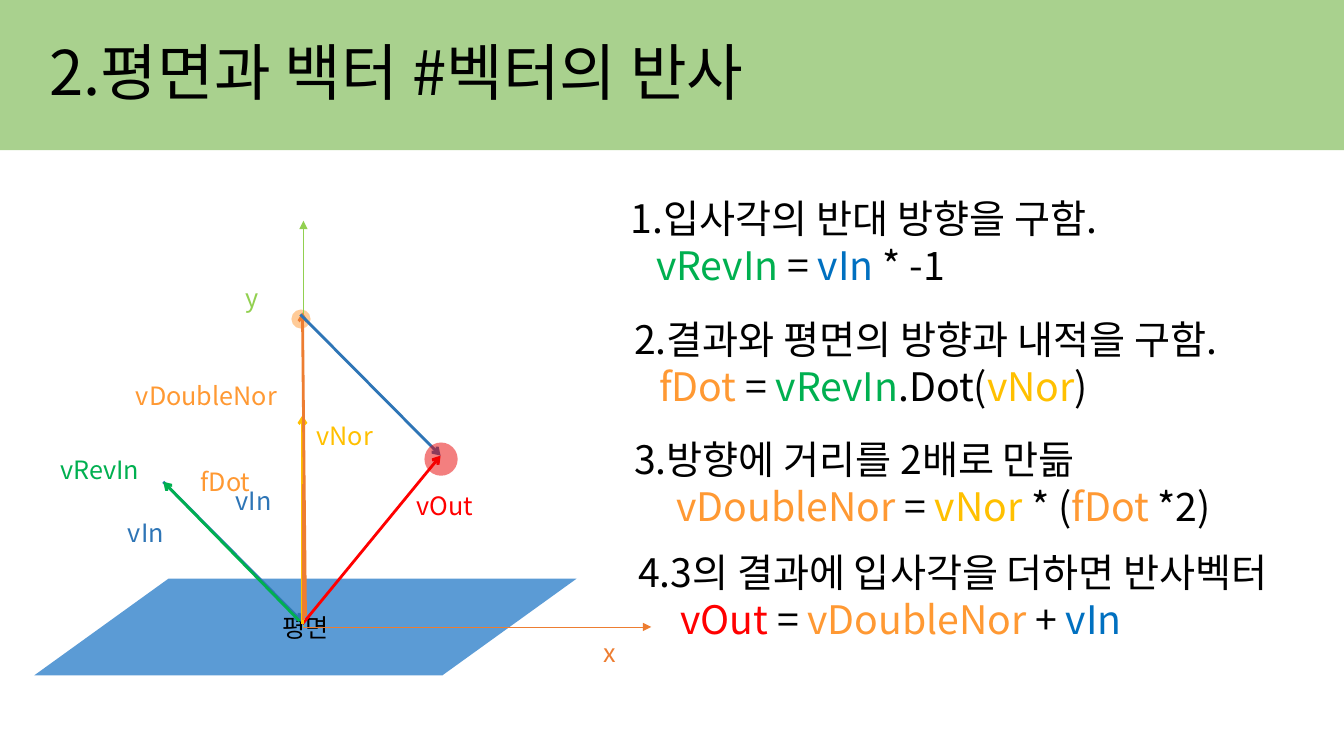
from lxml import etree
from pptx import Presentation
from pptx import util as u
from pptx.dml.color import RGBColor
from pptx.enum import shapes, text
from pptx.oxml.ns import qn

BLACK, GREEN, BLUE, NAVY = "000000", "00B050", "0070C0", "2E75B6"
ORANGE, RUST, GOLD, RED, LIME = "FF9933", "ED7D31", "FFC000", "FF0000", "92D050"


def paint(target, color):
    target.rgb = RGBColor.from_string(color)


def apply(target, values):
    for name, value in values.items():
        setattr(target, name, value)


class Sketch:
    """Holds the text style and the slide being drawn."""

    def __init__(self, slide):
        self.slide = slide
        self.face = "Noto Sans CJK KR"

    def fill_in(self, para, runs, size):
        for words, color in runs:
            run = para.add_run()
            run.text = words
            apply(run.font, {"size": u.Pt(size), "name": self.face})
            paint(run.font.color, color)
            asian = etree.SubElement(run._r.get_or_add_rPr(), qn("a:ea"))
            asian.set("typeface", self.face)

    def title(self, words, box):
        shape = self.slide.shapes.title
        apply(shape, dict(zip(("left", "top", "width", "height"), map(u.Inches, box))))
        apply(shape.text_frame, {"vertical_anchor": text.MSO_ANCHOR.MIDDLE, "word_wrap": True})
        para = shape.text_frame.paragraphs[0]
        apply(para, {"alignment": text.PP_ALIGN.LEFT, "line_spacing": 0.9})
        self.fill_in(para, [(words, BLACK)], 44)
        return shape

    def shape(self, kind, box, color, alpha=None):
        shape = self.slide.shapes.add_shape(kind, *map(u.Inches, box))
        shape.shadow.inherit = False
        shape.fill.solid()
        paint(shape.fill.fore_color, color)
        shape.line.fill.background()
        if alpha:
            tone = shape.element.spPr.find(qn("a:solidFill"))[0]
            etree.SubElement(tone, qn("a:alpha")).set("val", str(alpha * 1000))
        return shape

    def text(self, box, lines, size=18, indent=0):
        frame = self.slide.shapes.add_textbox(*map(u.Inches, box)).text_frame
        frame.word_wrap = True
        for i, runs in enumerate(lines):
            para = frame.add_paragraph() if i else frame.paragraphs[0]
            if i:
                para._p.get_or_add_pPr().set("marL", str(u.Inches(indent)))
            self.fill_in(para, runs, size)

    def line(self, start, end, color, width=2, head="arrow"):
        line = self.slide.shapes.add_connector(
            shapes.MSO_CONNECTOR.STRAIGHT, *map(u.Inches, start + end))
        line.line.width = u.Pt(width)
        paint(line.line.color, color)
        if head:
            edge = line.element.spPr.find(qn("a:ln"))
            etree.SubElement(edge, qn("a:tailEnd")).set("type", head)
        etree.SubElement(line.element.spPr, qn("a:effectLst"))


def main():
    deck = Presentation()
    apply(deck, {"slide_width": u.Inches(13.33), "slide_height": u.Inches(7.5)})
    art = Sketch(deck.slides.add_slide(deck.slide_layouts[5]))
    kinds = shapes.MSO_SHAPE

    band = art.shape(kinds.RECTANGLE, (0, -0.02, 13.33, 1.51), "A9D18E")
    title = art.title("2.평면과 백터 #벡터의 반사", (0.39, 0.02, 11.5, 1.45))
    title.element.addprevious(band.element)

    steps = [
        (6.16, 1.88, 6.8, 0.25, "1.입사각의 반대 방향을 구함.",
         [("vRevIn", GREEN), (" = ", BLACK), ("vIn", BLUE), (" * -1", BLACK)]),
        (6.19, 3.08, 6.8, 0.25, "2.결과와 평면의 방향과 내적을 구함.",
         [("fDot ", ORANGE), ("= ", BLACK), ("vRevIn", GREEN), (".Dot(", BLACK),
          ("vNor", GOLD), (")", BLACK)]),
        (6.19, 4.27, 6.8, 0.42, "3.방향에 거리를 2배로 만듦",
         [("vDoubleNor ", ORANGE), ("= ", BLACK), ("vNor", GOLD), (" * (", BLACK),
          ("fDot", ORANGE), (" *2)", BLACK)]),
        (6.23, 5.39, 7.34, 0.42, "4.3의 결과에 입사각을 더하면 반사벡터",
         [("vOut ", RED), ("= ", BLACK), ("vDoubleNor ", ORANGE), ("+ ", BLACK),
          ("vIn", BLUE)]),
    ]
    for left, top, width, indent, head, code in steps:
        art.text((left, top, width, 1.04), [[(head, BLACK)], code], 28, indent)

    art.shape(kinds.OVAL, (2.89, 3.07, 0.19, 0.19), ORANGE, 50)
    plane = art.shape(kinds.PARALLELOGRAM, (0.34, 5.74, 5.38, 0.96), "5B9BD5")
    plane.adjustments[0] = 1.388
    plane.text_frame.vertical_anchor = text.MSO_ANCHOR.MIDDLE
    para = plane.text_frame.paragraphs[0]
    para.alignment = text.PP_ALIGN.CENTER
    art.fill_in(para, [("평면", BLACK)], 18)

    origin = (3.01, 6.22)
    for end, color in (((3.01, 2.19), LIME), ((6.46, 6.22), RUST)):
        art.line(origin, end, color, 0.5, "triangle")

    base, left_tip, out_tip = (3, 6.19), (1.62, 4.78), (4.37, 4.52)
    art.line(left_tip, (3, 6.17), NAVY)
    art.line(base, out_tip, RED)
    art.line(base, (3, 4.12), GOLD)
    art.line((3.01, 6.15), (3.01, 4.8), RUST, head=None)
    art.line((3.03, 6.11), (3, 3.1), RUST)
    art.line((2.97, 6.16), left_tip, GREEN)
    art.line((2.98, 3.12), out_tip, NAVY)

    labels = [
        ("y", LIME, 2.34, 2.75, 0.57, 0.58),
        ("x", RUST, 5.89, 6.27, 0.57, 0.58),
        ("vIn", NAVY, 1.17, 5.08, 1.45, 0.7),
        ("vOut", RED, 4.03, 4.82, 1.79, 0.7),
        ("vNor", GOLD, 3.04, 4.12, 2.51, 0.72),
        ("fDot", ORANGE, 1.89, 4.58, 1.55, 0.7),
        ("vDoubleNor", ORANGE, 1.25, 3.72, 1.71, 0.4),
        ("vRevIn", GREEN, 0.5, 4.46, 2.64, 0.7),
        ("vIn", NAVY, 2.24, 4.77, 1.79, 0.7),
    ]
    for words, color, *box in labels:
        art.text(box, [[(words, color)]])

    art.shape(kinds.OVAL, (4.21, 4.39, 0.33, 0.33), "E80000", 50)
    deck.save("out.pptx")


if __name__ == "__main__":
    main()
